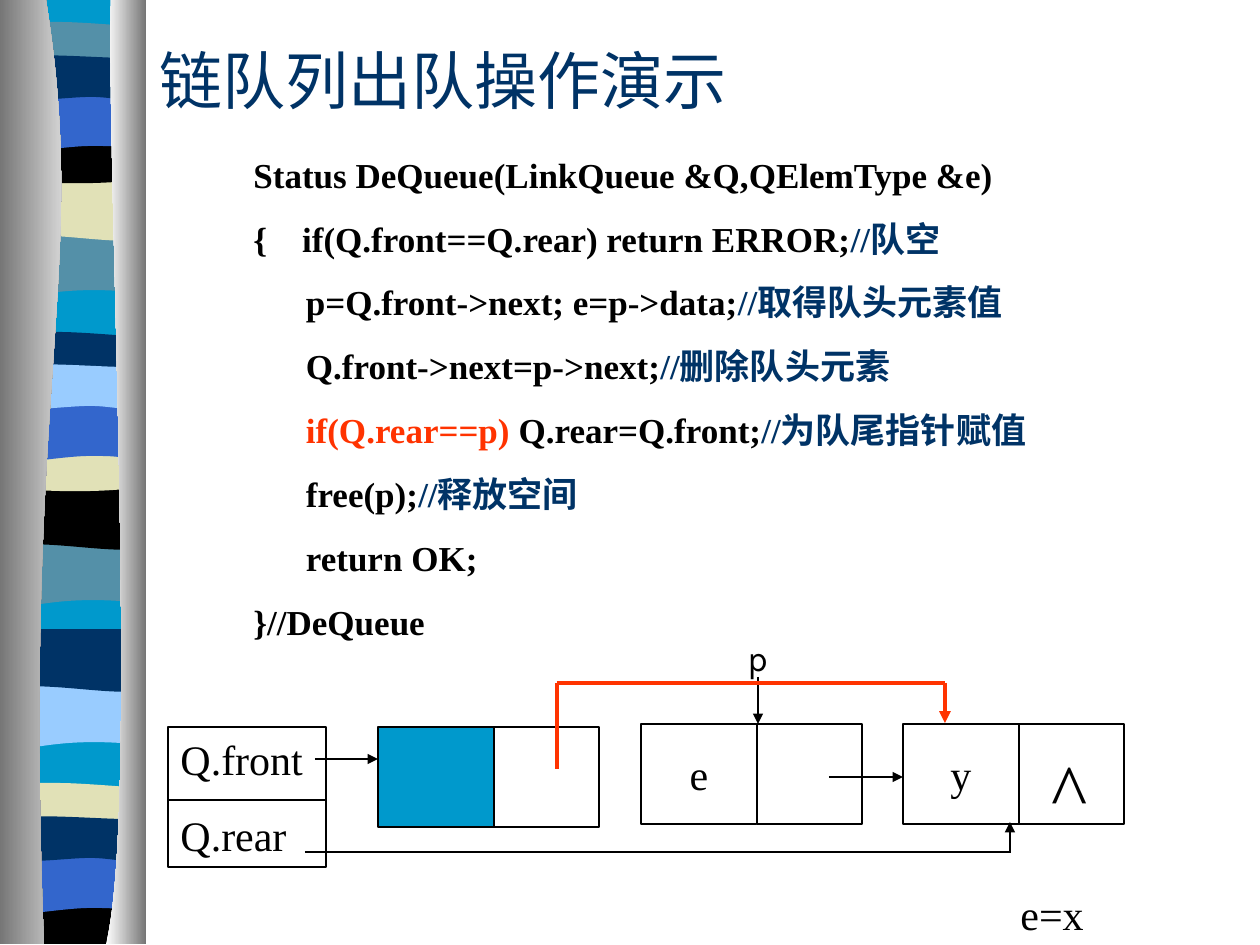
from pptx import Presentation
from pptx.dml.color import RGBColor
from pptx.enum.shapes import MSO_CONNECTOR as LINK, MSO_SHAPE as KIND
from pptx.enum.text import MSO_ANCHOR as ANCHOR, PP_ALIGN as ALIGN
from pptx.oxml.ns import qn
from pptx.util import Pt
from lxml.etree import SubElement

PX = 7257
INK, NAVY, SKY, RED = "000000", "003366", "0099CC", "FF3300"
TEAL, SAND, BLUE, PALE = "5490A8", "E1E1B7", "3366CC", "99CCFF"
SERIF = "Times New Roman"

WAVES = {
    "swell": [(136, 0), (136, 59), (42, 49, 23, 69, 0, 59), (0, 0)],
    "dip": [(136, 0), (136, 60), (113, 69, 42, 52, 0, 59), (0, 0)],
    "lens": [(136, 6), (136, 36), (113, 42, 23, 42, 0, 36), (0, 6),
             (8, 0, 29, 1, 52, 1), (74, 1, 118, 5, 136, 6)],
    "bowl": [(136, 0), (136, 41), (113, 48, 23, 48, 0, 41), (0, 0),
             (83, 6, 107, 0, 136, 0)],
    "arch": [(136, 0), (136, 59), (115, 52, 106, 52, 83, 52),
             (60, 52, 20, 59, 0, 59), (0, 0)],
    "flag": [(136, 6), (136, 45), (127, 52, 106, 45, 83, 45),
             (60, 45, 14, 52, 0, 45), (0, 6), (19, 0, 92, 6, 115, 6),
             (138, 6, 132, 6, 136, 6)],
    "base": [(136, 0), (136, 47), (0, 47), (0, 0), (83, 6, 107, 0, 136, 0)],
    "full": [(136, 0), (136, 943), (0, 943), (0, 0)],
}
BANDS = [
    ("full", 8, 0, SKY),
    ("swell", 8, 234, TEAL), ("dip", 8, 178, SAND), ("lens", 8, 21, TEAL),
    ("bowl", 8, 137, INK), ("arch", 8, 94, BLUE), ("flag", 8, 52, NAVY),
    ("swell", 7, 544, TEAL), ("dip", 7, 487, INK), ("lens", 7, 331, NAVY),
    ("bowl", 7, 445, SAND), ("arch", 7, 404, BLUE), ("flag", 7, 361, PALE),
    ("swell", 8, 686, PALE), ("dip", 8, 629, NAVY), ("lens", 7, 782, SAND),
    ("base", 7, 897, INK), ("arch", 7, 856, BLUE), ("flag", 7, 813, NAVY),
]
LEFT = [(46, 0), (90, 273, 22, 374, 44, 944), (0, 944), (0, 0)]
RIGHT = [(111, 0), (106, 158, 140, 814, 106, 944), (146, 944), (146, 0)]
CODE = [
    [("Status DeQueue(LinkQueue &Q,QElemType &e)", INK)],
    [("{    if(Q.front==Q.rear) return ERROR;", INK), ("//队空", NAVY)],
    [("      p=Q.front->next; e=p->data;", INK), ("//取得队头元素值", NAVY)],
    [("      Q.front->next=p->next;", INK), ("//删除队头元素", NAVY)],
    [("      ", INK), ("if(Q.rear==p)", RED), (" Q.rear=Q.front;", INK),
     ("//为队尾指针赋值", NAVY)],
    [("      free(p);", INK), ("//释放空间", NAVY)],
    [("      return OK;", INK)],
    [("}//DeQueue", INK)],
]


def tint(code):
    """Turn a hex string into a colour."""
    return RGBColor.from_string(code)


def emu(*sizes):
    """Scale px lengths to EMU."""
    return [size * PX for size in sizes]


def write(frame, rows, size=24, face=SERIF, bold=False, gap=0,
          align=ALIGN.LEFT, anchor=ANCHOR.TOP, wrap=True):
    """Fill a text frame with rows of (text, colour) runs."""
    frame.word_wrap = wrap
    frame.vertical_anchor = anchor
    for i, row in enumerate(rows):
        para = frame.paragraphs[0] if i == 0 else frame.add_paragraph()
        para.alignment = align
        para.space_before = Pt(gap if i else 0)
        for words, code in row:
            run = para.add_run()
            run.text = words
            font = run.font
            font.name, font.size, font.bold = face, Pt(size), bold
            font.color.rgb = tint(code)


def label(slide, box, rows, **style):
    """Add a text box."""
    write(slide.shapes.add_textbox(*emu(*box)).text_frame, rows, **style)


def cell(slide, box, fill=None):
    """Add a thin black rectangle."""
    shape = slide.shapes.add_shape(KIND.RECTANGLE, *emu(*box))
    shape.shadow.inherit = False
    shape.line.color.rgb = tint(INK)
    shape.line.width = Pt(0.75)
    if fill:
        shape.fill.solid()
        shape.fill.fore_color.rgb = tint(fill)
    else:
        shape.fill.background()
    return shape


def link(slide, ends, width=0.75, code=INK, arrow=False):
    """Add a straight line, with an arrowhead at its end if asked."""
    line = slide.shapes.add_connector(LINK.STRAIGHT, *emu(*ends))
    line.line.color.rgb = tint(code)
    line.line.width = Pt(width)
    if arrow:
        SubElement(line.line._get_or_add_ln(), qn("a:tailEnd"), type="triangle")
    SubElement(line._element.spPr, qn("a:effectLst"))


def outline(slide, x, y, steps):
    """Add a closed lineless outline of straight and cubic steps."""
    spots = [step[i:i + 2] for step in steps for i in range(0, len(step), 2)]
    pen = slide.shapes.build_freeform(*spots[0], scale=PX)
    pen.add_line_segments(spots[1:], close=True)
    shape = pen.convert_to_shape(*emu(x, y))
    legs = iter(list(shape._element.iter(qn("a:lnTo"))))
    for step in steps[1:]:
        leg = next(legs)
        if len(step) == 6:
            leg.tag = qn("a:cubicBezTo")
            for extra in (next(legs), next(legs)):
                leg.append(extra[0])
                extra.getparent().remove(extra)
    shape.shadow.inherit = False
    shape.line.fill.background()
    return shape


def ribbon(slide, x, y):
    """Draw the wavy bands between two metal edges."""
    for wave, left, top, code in BANDS:
        fill = outline(slide, x + left, y + top, WAVES[wave]).fill
        fill.solid()
        fill.fore_color.rgb = tint(code)
    for steps, tones in ((LEFT, ("767676", "FFFFFF")),
                         (RIGHT, ("FFFFFF", "767676"))):
        fill = outline(slide, x, y, steps).fill
        fill.gradient()
        fill.gradient_angle = 0
        for stop, spot, tone in zip(fill.gradient_stops, (0, 1), tones):
            stop.position = spot
            stop.color.rgb = tint(tone)


def queue(slide, x, y):
    """Draw the box of front and rear pointers."""
    box = cell(slide, (x, y, 158, 140))
    write(box.text_frame, [[("Q.front", INK)], [("Q.rear", INK)]], gap=15)
    link(slide, (x, y + 73, x + 158, y + 73))


def node(slide, x, y, data="", fill=None):
    """Draw a list node of a data cell and a pointer cell."""
    first = cell(slide, (x, y, 116, 100), fill)
    if data:
        write(first.text_frame, [[(data, INK)]], align=ALIGN.CENTER,
              anchor=ANCHOR.MIDDLE, wrap=False)
    cell(slide, (x + 116, y, 105, 100))


def chain(slide, x, y):
    """Draw the linked queue and the pointer changes."""
    queue(slide, x, y + 3)
    node(slide, x + 210, y + 3, fill=SKY)
    link(slide, (x + 147, y + 35, x + 210, y + 35), arrow=True)
    node(slide, x + 473, y, "e")
    link(slide, (x + 137, y + 128, x + 843, y + 128), 1)
    link(slide, (x + 842, y + 128, x + 842, y + 98), 1, arrow=True)
    node(slide, x + 735, y, "y")
    label(slide, (x + 871, y + 11, 63, 106), [[("^", INK)]], size=44)
    link(slide, (x + 661, y + 53, x + 735, y + 53), 1.5, arrow=True)
    link(slide, (x + 590, y - 47, x + 590, y), arrow=True)
    label(slide, (x + 567, y - 94, 105, 55), [[("p", INK)]], size=20, face="Karla")
    label(slide, (x + 840, y + 158, 105, 63), [[("e=x", INK)]])
    link(slide, (x + 389, y + 45, x + 389, y - 41), 2.25, RED)
    link(slide, (x + 389, y - 41, x + 777, y - 41), 2.25, RED)
    link(slide, (x + 777, y - 41, x + 777, y - 1), 2.25, RED, arrow=True)


def main():
    """Build and save the slide."""
    deck = Presentation()
    deck.slide_width, deck.slide_height = emu(1260, 945)
    slide = deck.slides.add_slide(deck.slide_layouts[6])
    ribbon(slide, 0, 0)
    label(slide, (147, 32, 646, 94), [[("链队列出队操作演示", NAVY)]],
          size=36, anchor=ANCHOR.MIDDLE)
    label(slide, (241, 147, 903, 503), CODE, size=20, bold=True, gap=12.5)
    chain(slide, 168, 724)
    deck.save("out.pptx")


if __name__ == "__main__":
    main()
